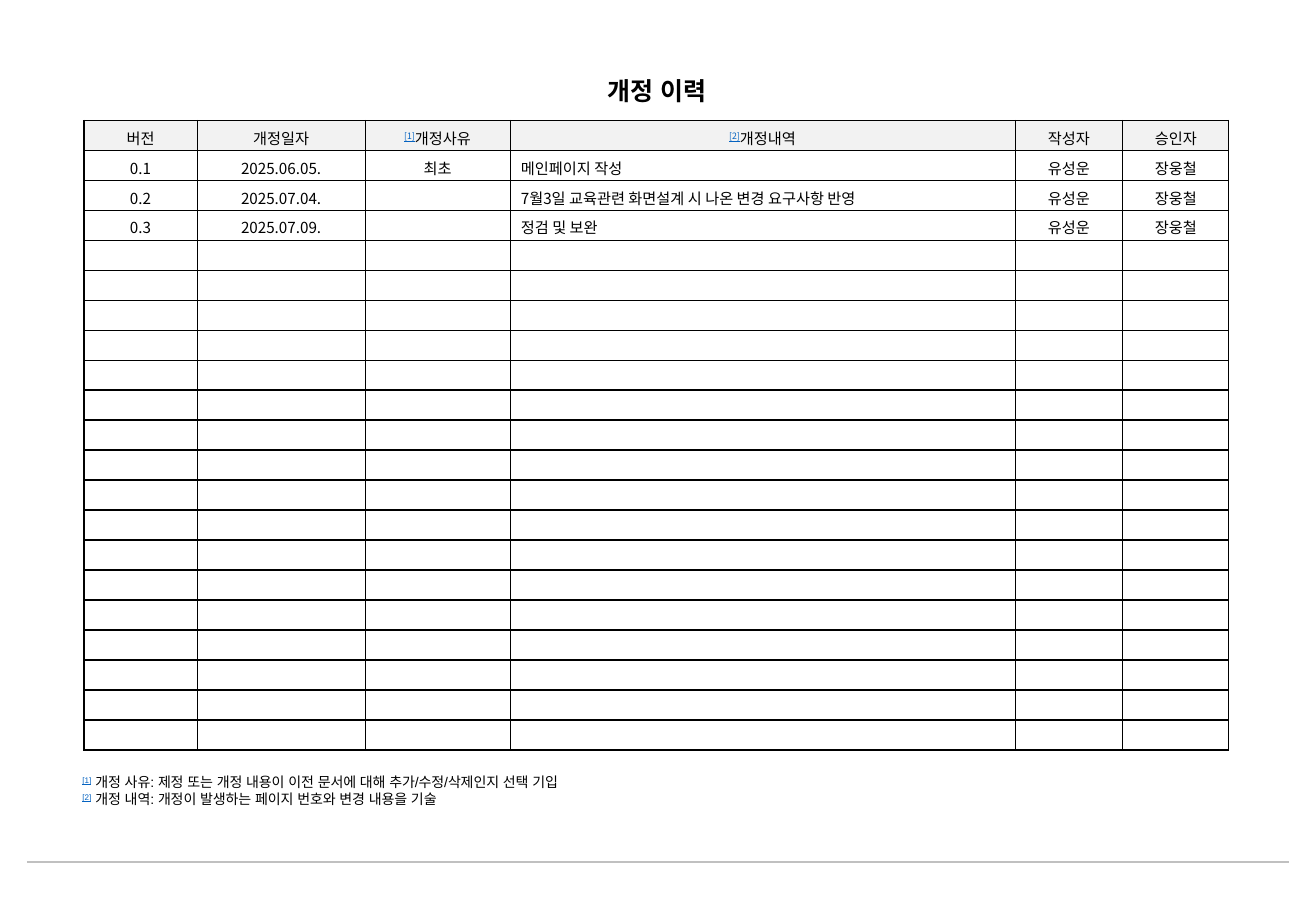
from lxml.etree import SubElement
from pptx import Presentation
from pptx.dml.color import RGBColor
from pptx.enum.shapes import MSO_CONNECTOR as Connector
from pptx.enum.text import MSO_ANCHOR as Anchor, PP_ALIGN as Align
from pptx.oxml.ns import qn
from pptx.util import Pt

BLACK = RGBColor(0x00, 0x00, 0x00)
BLUE = RGBColor(0x05, 0x63, 0xC1)
GRAY = RGBColor(0xC0, 0xC0, 0xC0)
HEADER = RGBColor(0xF2, 0xF2, 0xF2)
TEXT_FONT, TABLE_FONT = "Arial", "Noto Sans CJK KR"
THIN, THICK = 0.5, 1
COLS = [67, 99.6, 85.9, 299.3, 64, 62.8]
ROW_COUNT, ROW_HEIGHT, FIRST_THICK = 21, 17.78, 9
DETAIL_COL = 3
ROWS = [
    ["버전", "개정일자", ("[1]", "개정사유"), ("[2]", "개정내역"), "작성자", "승인자"],
    ["0.1", "2025.06.05.", "최초", "메인페이지 작성", "유성운", "장웅철"],
    ["0.2", "2025.07.04.", "", "7월3일 교육관련 화면설계 시 나온 변경 요구사항 반영", "유성운", "장웅철"],
    ["0.3", "2025.07.09.", "", "정검 및 보완", "유성운", "장웅철"],
]
NOTES = [
    ("[1]", " 개정 사유: 제정 또는 개정 내용이 이전 문서에 대해 추가/수정/삭제인지 선택 기입"),
    ("[2]", " 개정 내역: 개정이 발생하는 페이지 번호와 변경 내용을 기술"),
]


class RevisionSlide:
    """Draws the parts of the revision history slide in one style."""

    def __init__(self, s):
        self.s = s

    def paragraph(self, p, text, font, size, bold=False, align=Align.LEFT):
        p.alignment = align
        if not text:
            SubElement(p._p, qn("a:endParaRPr"), sz=str(size * 100))
            return
        parts = [text] if isinstance(text, str) else text
        p.text = parts[0]
        for part in parts[1:]:
            p.add_run().text = part
        for r in p.runs:
            marked = r.text.startswith("[")
            r.font.size, r.font.bold, r.font.name = Pt(size), bold, font
            r.font.color.rgb = BLUE if marked else BLACK
            r.font.underline = marked
            rpr = r.font._element
            SubElement(rpr, qn("a:ea"), typeface=font)
            if marked:
                rpr.set("baseline", "30000")

    def text(self, x, y, w, h, lines, size, bold=False, align=Align.LEFT):
        tf = self.s.shapes.add_textbox(Pt(x), Pt(y), Pt(w), Pt(h)).text_frame
        tf.word_wrap = False
        tf.vertical_anchor = Anchor.MIDDLE
        for i, line in enumerate(lines):
            p = tf.add_paragraph() if i else tf.paragraphs[0]
            self.paragraph(p, line, TEXT_FONT, size, bold, align)

    def line(self, x1, y1, x2, y2, color, width):
        sp = self.s.shapes.add_connector(Connector.STRAIGHT, Pt(x1), Pt(y1), Pt(x2), Pt(y2))
        sp.line.color.rgb = color
        sp.line.width = Pt(width)
        SubElement(sp._element.spPr, qn("a:effectLst"))

    def borders(self, cell, widths):
        tcpr = cell._tc.get_or_add_tcPr()
        for side, width in zip("LRTB", widths):
            ln = SubElement(tcpr, qn(f"a:ln{side}"), w=str(Pt(width)))
            fill = SubElement(ln, qn("a:solidFill"))
            SubElement(fill, qn("a:srgbClr"), val=str(BLACK))

    def cell(self, cell, text, row, col):
        cell.margin_left = cell.margin_right = Pt(6.5)
        cell.margin_top, cell.margin_bottom = Pt(3.6), Pt(1)
        cell.vertical_anchor = Anchor.MIDDLE
        align = Align.LEFT if row and col == DETAIL_COL else Align.CENTER
        self.paragraph(cell.text_frame.paragraphs[0], text, TABLE_FONT, 9, align=align)
        edges = [col == 0, col == len(COLS) - 1, row >= FIRST_THICK, row + 1 >= FIRST_THICK]
        self.borders(cell, [THICK if edge else THIN for edge in edges])
        if row:
            cell.fill.background()
        else:
            cell.fill.solid()
            cell.fill.fore_color.rgb = HEADER

    def table(self, x, y, rows):
        frame = self.s.shapes.add_table(
            ROW_COUNT, len(COLS), Pt(x), Pt(y), Pt(sum(COLS)), Pt(ROW_COUNT * ROW_HEIGHT))
        table = frame.table
        table.horz_banding = table.first_row = False
        for column, width in zip(table.columns, COLS):
            column.width = Pt(width)
        for i, row in enumerate(table.rows):
            row.height = Pt(ROW_HEIGHT)
            texts = rows[i] if i < len(rows) else [""] * len(COLS)
            for j, text in enumerate(texts):
                self.cell(table.cell(i, j), text, i, j)


def main():
    prs = Presentation()
    prs.slide_width, prs.slide_height = Pt(780), Pt(540)
    slide = RevisionSlide(prs.slides.add_slide(prs.slide_layouts[6]))
    slide.line(16, 511, 764, 511, GRAY, 1.5)
    slide.text(41.8, 455, 332.6, 27.4, NOTES, 8.3)
    slide.text(350.6, 41, 77.8, 25.2, ["개정 이력"], 14.8, True, Align.CENTER)
    slide.table(49.8, 71.3, ROWS)
    prs.save("out.pptx")


if __name__ == "__main__":
    main()
